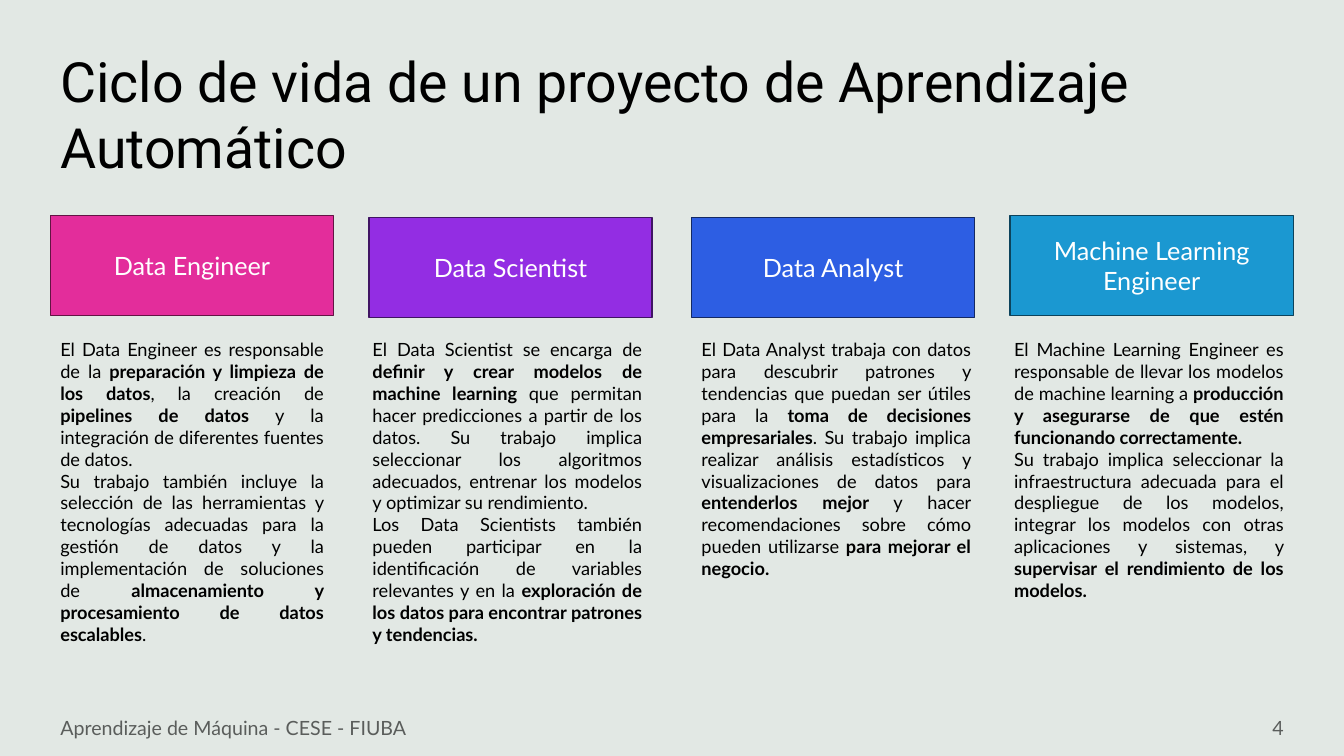
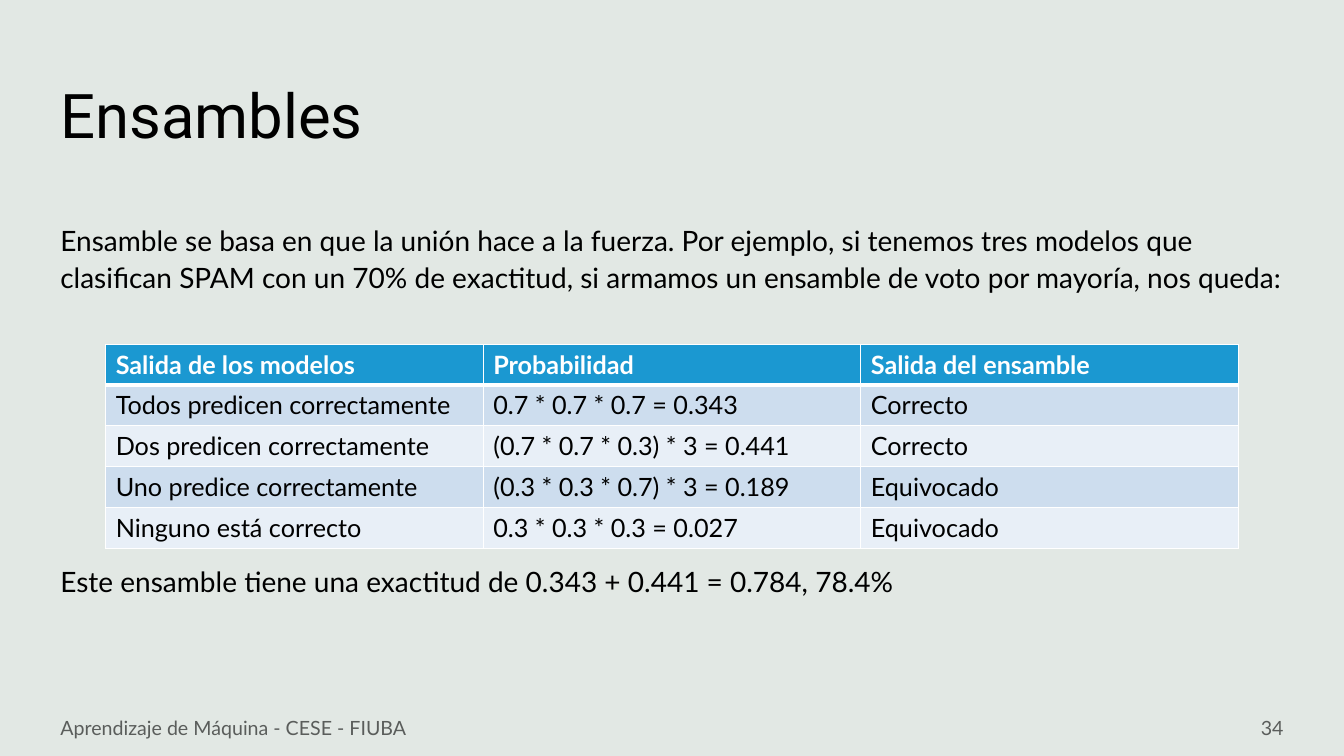
import pptx
import pptx.dml.color
import pptx.enum.shapes
import pptx.enum.text
import pptx.oxml
import pptx.oxml.ns
import pptx.util

Pt = pptx.util.Pt
ALIGN = pptx.enum.text.PP_ALIGN
ANCHOR = pptx.enum.text.MSO_ANCHOR

BACKGROUND = "E2E8E4"
BLACK = "000000"
WHITE = "FFFFFF"
FOOTER_GRAY = "5A5D5B"
TABLE_BLUE = "1B98D1"
BAND_COLORS = ("CDDDEE", "E8EFF7")
TITLE_FONT = "Roboto"
TEXT_FONT = "Lato"
FOOTER = "Aprendizaje de Máquina - CESE - FIUBA"
MARGIN = 36
CONTENT_WIDTH = 888

ROLES = (
    {
        "name": "Data Engineer", "fill": "E32D9B", "line": "631444",
        "header": (36, 154), "text": (36, 202.3),
        "paragraphs": (
            "El Data Engineer es responsable de la **preparación y limpieza de los datos**, "
            "la creación de **pipelines de datos **y la integración de diferentes fuentes de datos.",
            "Su trabajo también incluye la selección de las herramientas y tecnologías adecuadas "
            "para la gestión de datos y la implementación de soluciones de "
            "**almacenamiento y procesamiento de datos escalables**.",
        ),
    },
    {
        "name": "Data Scientist", "fill": "932DE3", "line": "401463",
        "header": (263.5, 155.5), "text": (259, 206.6),
        "paragraphs": (
            "El Data Scientist se encarga de **definir y crear modelos de machine learning **"
            "que permitan hacer predicciones a partir de los datos. Su trabajo implica seleccionar "
            "los algoritmos adecuados, entrenar los modelos y optimizar su rendimiento.",
            "Los Data Scientists también pueden participar en la identificación de variables "
            "relevantes y en la **exploración de los datos para encontrar patrones y tendencias.**",
        ),
    },
    {
        "name": "Data Analyst", "fill": "2D5EE3", "line": "142963",
        "header": (494, 155.5), "text": (494, 206.6),
        "paragraphs": (
            "El Data Analyst trabaja con datos para descubrir patrones y tendencias que puedan ser "
            "útiles para la **toma de decisiones empresariales**. Su trabajo implica realizar "
            "análisis estadísticos y visualizaciones de datos para **entenderlos mejor **y hacer "
            "recomendaciones sobre cómo pueden utilizarse **para mejorar el negocio.**",
        ),
    },
    {
        "name": "Machine Learning Engineer", "fill": "1B98D1", "line": "0C435C",
        "header": (721.5, 154), "text": (717.3, 206.6),
        "paragraphs": (
            "El Machine Learning Engineer es responsable de llevar los modelos de machine learning "
            "a **producción y asegurarse de que estén funcionando correctamente.**",
            "Su trabajo implica seleccionar la infraestructura adecuada para el despliegue de los "
            "modelos, integrar los modelos con otras aplicaciones y sistemas, y "
            "**supervisar el rendimiento de los modelos.**",
        ),
    },
)

INTRODUCTION = (
    "Ensamble se basa en que la unión hace a la fuerza. Por ejemplo, si tenemos tres modelos que "
    "clasifican SPAM con un 70% de exactitud, si armamos un ensamble de voto por mayoría, nos queda:"
)
CONCLUSION = "Este ensamble tiene una exactitud de 0.343 + 0.441 = 0.784, 78.4%"
OUTCOMES = (
    ("Salida de los modelos", "Probabilidad", "Salida del ensamble"),
    ("Todos predicen correctamente", "0.7 * 0.7 * 0.7 = 0.343", "Correcto"),
    ("Dos predicen correctamente", "(0.7 * 0.7 * 0.3) * 3 = 0.441", "Correcto"),
    ("Uno predice correctamente", "(0.3 * 0.3 * 0.7) * 3 = 0.189", "Equivocado"),
    ("Ninguno está correcto", "0.3 * 0.3 * 0.3 = 0.027", "Equivocado"),
)


def rgb(color):
    """Turn a hex string into a colour."""
    return pptx.dml.color.RGBColor.from_string(color)


def style_paragraph(paragraph, size, color=BLACK, name=TEXT_FONT, bold=None, align=ALIGN.LEFT):
    """Set the alignment and font of a paragraph."""
    paragraph.alignment = align
    paragraph.font.size = Pt(size)
    paragraph.font.name = name
    paragraph.font.bold = bold
    paragraph.font.color.rgb = rgb(color)


def write_paragraphs(frame, texts, **style):
    """Fill a frame with paragraphs, with bold parts between double asterisks."""
    frame.word_wrap = True
    for index, text in enumerate(texts):
        paragraph = frame.add_paragraph() if index else frame.paragraphs[0]
        for part_index, part in enumerate(text.split("**")):
            if part:
                run = paragraph.add_run()
                run.text = part
                if part_index % 2:
                    run.font.bold = True
        style_paragraph(paragraph, **style)


def add_text(slide, box, texts, anchor=ANCHOR.TOP, **style):
    """Add a text box and return its frame."""
    frame = slide.shapes.add_textbox(*map(Pt, box)).text_frame
    frame.vertical_anchor = anchor
    write_paragraphs(frame, texts, **style)
    return frame


def add_base_slide(presentation, title, title_size, number):
    """Add a slide with its title, footer and number."""
    slide = presentation.slides.add_slide(presentation.slide_layouts[6])
    add_text(slide, (MARGIN, 28.8, 858, 104.4), [title], ANCHOR.MIDDLE,
             size=title_size, name=TITLE_FONT)
    add_text(slide, (MARGIN, 505.5, 324, 28.8), [FOOTER], ANCHOR.MIDDLE,
             size=14, color=FOOTER_GRAY)
    add_text(slide, (MARGIN + CONTENT_WIDTH - 216, 505.5, 216, 28.8), [str(number)],
             ANCHOR.MIDDLE, size=14, color=FOOTER_GRAY, align=ALIGN.RIGHT)
    return slide


def add_role(slide, role):
    """Add the coloured header and the description of one role."""
    header = slide.shapes.add_shape(
        pptx.enum.shapes.MSO_SHAPE.RECTANGLE, *map(Pt, (*role["header"], 202.3, 71.3)))
    header.shadow.inherit = False
    header.fill.solid()
    header.fill.fore_color.rgb = rgb(role["fill"])
    header.line.color.rgb = rgb(role["line"])
    header.line.width = Pt(1)
    header.text_frame.vertical_anchor = ANCHOR.MIDDLE
    write_paragraphs(header.text_frame, [role["name"]], size=18, color=WHITE, align=ALIGN.CENTER)
    left, width = role["text"]
    add_text(slide, (left, 238.3, width, 243), role["paragraphs"], size=13, align=ALIGN.JUSTIFY)


def add_cell_borders(cell, top, bottom):
    """Draw white borders around a cell."""
    properties = cell._tc.get_or_add_tcPr()
    for side, width in (("L", 1), ("R", 1), ("T", top), ("B", bottom)):
        properties.append(pptx.oxml.parse_xml(
            f'<a:ln{side} {pptx.oxml.ns.nsdecls("a")} w="{Pt(width)}"><a:solidFill>'
            f'<a:srgbClr val="{WHITE}"/></a:solidFill></a:ln{side}>'))


def add_outcome_table(slide, box):
    """Add the table of ensemble outcomes."""
    table = slide.shapes.add_table(len(OUTCOMES), len(OUTCOMES[0]), *map(Pt, box)).table
    for row, texts in enumerate(OUTCOMES):
        is_header = row == 0
        for column, text in enumerate(texts):
            cell = table.cell(row, column)
            add_cell_borders(cell, 3 if row == 1 else 1, 3 if is_header else 1)
            cell.fill.solid()
            cell.fill.fore_color.rgb = rgb(TABLE_BLUE if is_header else BAND_COLORS[(row - 1) % 2])
            write_paragraphs(cell.text_frame, [text], size=18,
                             color=WHITE if is_header else BLACK, bold=is_header)


def build_roles_slide(presentation):
    """Build the slide of project roles."""
    slide = add_base_slide(
        presentation, "Ciclo de vida de un proyecto de Aprendizaje Automático", 39.6, 4)
    for role in ROLES:
        add_role(slide, role)


def build_ensemble_slide(presentation):
    """Build the slide about ensembles."""
    slide = add_base_slide(presentation, "Ensambles", 44, 34)
    for top, height, text in ((153.4, 62, INTRODUCTION), (397.5, 36, CONCLUSION)):
        frame = add_text(slide, (MARGIN, top, CONTENT_WIDTH, height), [text], size=20)
        frame.paragraphs[0].line_spacing = 1.1
    add_outcome_table(slide, (75.5, 245.8, 809.1, 146))


def main():
    """Build and save the presentation."""
    presentation = pptx.Presentation()
    presentation.slide_width = Pt(960)
    presentation.slide_height = Pt(540)
    background = presentation.slide_master.background.fill
    background.solid()
    background.fore_color.rgb = rgb(BACKGROUND)
    build_roles_slide(presentation)
    build_ensemble_slide(presentation)
    presentation.save("out.pptx")


if __name__ == "__main__":
    main()
